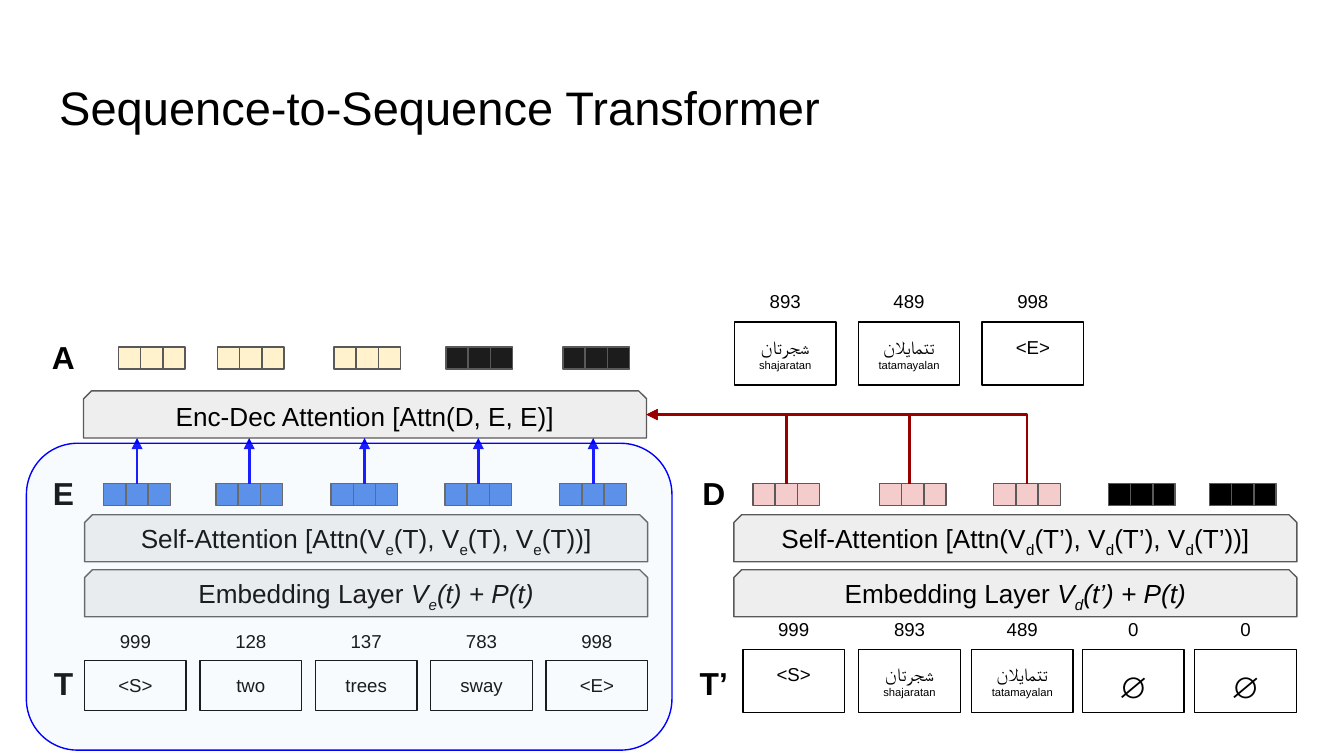
from dataclasses import dataclass

from lxml import etree
from pptx import Presentation
from pptx.dml.color import RGBColor
from pptx.enum.shapes import MSO_CONNECTOR, MSO_SHAPE
from pptx.enum.text import MSO_ANCHOR, PP_ALIGN
from pptx.oxml.ns import qn
from pptx.util import Cm, Pt

RECT, SNIPPED, ROUNDED = MSO_SHAPE.RECTANGLE, MSO_SHAPE.SNIP_2_SAME_RECTANGLE, MSO_SHAPE.ROUNDED_RECTANGLE
STRAIGHT, ELBOW = MSO_CONNECTOR.STRAIGHT, MSO_CONNECTOR.ELBOW
LEFT, CENTER = PP_ALIGN.LEFT, PP_ALIGN.CENTER
TOP, MIDDLE = MSO_ANCHOR.TOP, MSO_ANCHOR.MIDDLE

BLACK, GREY, PALE_GREY, BLUE, RED = "000000", "595959", "EEEEEE", "0000FF", "980000"
FONT = "Arial"
INSET = 0.25
CELL = 0.42
TOKEN_W, NUMBER_H = 1.92, 0.95
BAR_W, BAR_H = 10.64, 0.89
ENCODER_X, DECODER_X = 1.6, 13.87
VECTOR_Y, ATTENTION_Y = 9.14, 7.39


@dataclass(frozen=True)
class Span:
    text: str
    size: float = 10
    bold: bool = False
    italic: bool = False
    subscript: bool = False


@dataclass(frozen=True)
class Token:
    number: str
    word: str
    gloss: str = ""


@dataclass(frozen=True)
class VectorRow:
    label: str
    label_x: float
    label_y: float
    y: float
    vectors: tuple[tuple[float, str], ...]


@dataclass(frozen=True)
class TokenRow:
    tokens: tuple[Token, ...]
    lefts: tuple[float, ...]
    number_y: float
    box_y: float
    box_h: float


def color(code: str) -> RGBColor:
    return RGBColor.from_string(code)


def write(shape, paragraphs: list[list[Span]], align=CENTER, anchor=TOP) -> None:
    frame = shape.text_frame
    frame.word_wrap = True
    frame.vertical_anchor = anchor
    frame.margin_left = frame.margin_right = frame.margin_top = frame.margin_bottom = Cm(INSET)
    for index, spans in enumerate(paragraphs):
        paragraph = frame.paragraphs[0] if index == 0 else frame.add_paragraph()
        paragraph.alignment = align
        for span in spans:
            run = paragraph.add_run()
            run.text = span.text
            font = run.font
            font.name, font.size = FONT, Pt(span.size)
            font.bold, font.italic = span.bold, span.italic
            font.color.rgb = color(BLACK)
            properties = run._r.get_or_add_rPr()
            etree.SubElement(properties, qn("a:cs")).set("typeface", FONT)
            if span.subscript:
                properties.set("baseline", "-25000")


def add_text(x: float, y: float, w: float, h: float, span: Span, align=CENTER) -> None:
    write(slide.shapes.add_textbox(Cm(x), Cm(y), Cm(w), Cm(h)), [[span]], align)


def add_box(kind, x: float, y: float, w: float, h: float, fill: str | None, line: str):
    box = slide.shapes.add_shape(kind, Cm(x), Cm(y), Cm(w), Cm(h))
    box.shadow.inherit = False
    if fill:
        box.fill.solid()
        box.fill.fore_color.rgb = color(fill)
    else:
        box.fill.background()
    box.line.color.rgb = color(line)
    box.line.width = Pt(0.75)
    return box


def add_layer(x: float, y: float, spans: list[Span]) -> None:
    layer = add_box(SNIPPED, x, y, BAR_W, BAR_H, PALE_GREY, GREY)
    write(layer, [spans], anchor=MIDDLE)


def add_stack(x: float, sub: str, mark: str) -> None:
    """Embedding layer with the self-attention layer above it."""
    add_layer(x, 10.77, [Span("Embedding Layer ", 14), Span("V", 14, italic=True),
                         Span(sub, 14, italic=True, subscript=True),
                         Span(f"(t{mark}) + P(t)", 14, italic=True)])
    attention = [Span("Self-Attention [Attn(V", 14)]
    for ending in (f"(T{mark}), V", f"(T{mark}), V", f"(T{mark}))]"):
        attention += [Span(sub, 14, subscript=True), Span(ending, 14)]
    add_layer(x, 9.73, attention)


def add_row_label(text: str, x: float, y: float) -> None:
    add_text(x, y, TOKEN_W, 1.24, Span(text, 17, bold=True))


def add_vector_row(row: VectorRow) -> list:
    """Draw three cells per vector and return the middle ones."""
    middles = []
    for x, fill in row.vectors:
        cells = [add_box(RECT, x + i * CELL, row.y, CELL, CELL, fill, GREY) for i in range(3)]
        middles.append(cells[1])
    add_row_label(row.label, row.label_x, row.label_y)
    return middles


def add_token_row(row: TokenRow) -> None:
    for x, token in zip(row.lefts, row.tokens):
        add_text(x, row.number_y, TOKEN_W, NUMBER_H, Span(token.number))
        box = add_box(RECT, x, row.box_y, TOKEN_W, row.box_h, None, BLACK)
        paragraphs = [[Span(token.word, 16 if token.word == "∅" else 10)]]
        if token.gloss:
            paragraphs.append([Span(token.gloss, 6)])
        write(box, paragraphs)
        if token.word == "∅":
            box.text_frame.paragraphs[0].line_spacing = 1.15


def style_arrow(arrow, line: str) -> None:
    arrow.line.color.rgb = color(line)
    arrow.line.width = Pt(1.5)
    etree.SubElement(arrow.line._get_or_add_ln(), qn("a:tailEnd")).set("type", "triangle")
    etree.SubElement(arrow._element.spPr, qn("a:effectLst"))


def add_up_arrow(cell, end_y: float) -> None:
    x = cell.left + cell.width // 2
    arrow = slide.shapes.add_connector(STRAIGHT, x, cell.top, x, Cm(end_y))
    arrow.begin_connect(cell, 0)
    style_arrow(arrow, BLUE)


def add_up_left_arrow(x: float, y: float, end_x: float, end_y: float) -> None:
    """One-bend arrow, laid out on its side and then turned by 90 degrees."""
    mid_x, mid_y = (x + end_x) / 2, (y + end_y) / 2
    half_rise, half_run = (y - end_y) / 2, (x - end_x) / 2
    arrow = slide.shapes.add_connector(ELBOW, Cm(mid_x + half_rise), Cm(mid_y - half_run),
                                       Cm(mid_x - half_rise), Cm(mid_y + half_run))
    properties = arrow._element.spPr
    properties.find(qn("a:xfrm")).set("rot", "5400000")
    properties.find(qn("a:prstGeom")).set("prst", "bentConnector2")
    style_arrow(arrow, RED)


TREES = ("شجرتان", "shajaratan")
SWAY = ("تتمايلان", "tatamayalan")
SOURCE_TOKENS = TokenRow(
    (Token("999", "<S>"), Token("128", "two"), Token("137", "trees"),
     Token("783", "sway"), Token("998", "<E>")),
    tuple(ENCODER_X + 2.18 * i for i in range(5)), 11.69, 12.48, 0.95)
TARGET_TOKENS = TokenRow(
    (Token("999", "<S>"), Token("893", *TREES), Token("489", *SWAY),
     Token("0", "∅"), Token("0", "∅")),
    (14.04, 16.23, 18.36, 20.46, 22.58), 11.46, 12.28, 1.19)
OUTPUT_TOKENS = TokenRow(
    (Token("893", *TREES), Token("489", *SWAY), Token("998", "<E>")),
    tuple(13.88 + 2.34 * i for i in range(3)), 5.26, 6.09, 1.19)

CORNFLOWER, PINK, CREAM, CHARCOAL = "4A86E8", "F4CCCC", "FFF2CC", "1D1C1D"
ENCODED = VectorRow("E", 0.24, 8.71, VECTOR_Y, tuple(
    (x, CORNFLOWER) for x in (1.96, 4.08, 6.26, 8.41, 10.58)))
DECODED = VectorRow("D", 12.53, 8.71, VECTOR_Y, (
    (14.23, PINK), (16.62, PINK), (18.78, PINK), (20.95, BLACK), (22.86, BLACK)))
ATTENDED = VectorRow("A", 0.24, 6.14, 6.56, (
    (2.24, CREAM), (4.11, CREAM), (6.31, CREAM), (8.43, CHARCOAL), (10.64, CHARCOAL)))

prs = Presentation()
prs.slide_width, prs.slide_height = Cm(25.4), Cm(14.29)
slide = prs.slides.add_slide(prs.slide_layouts[6])

add_text(0.87, 1.24, 23.67, 1.6, Span("Sequence-to-Sequence Transformer", 25.2), LEFT)
add_stack(ENCODER_X, "e", "")
add_stack(DECODER_X, "d", "’")
add_layer(1.58, ATTENTION_Y, [Span("Enc-Dec Attention [Attn(D, E, E)]", 14)])

for middle_cell in add_vector_row(ENCODED):
    add_up_arrow(middle_cell, ATTENTION_Y + BAR_H)
add_vector_row(DECODED)
add_vector_row(ATTENDED)
for start_x in (14.86, 17.19, 19.41):
    add_up_left_arrow(start_x, VECTOR_Y, 1.58 + BAR_W, ATTENTION_Y + BAR_H / 2)

add_row_label("T", 0.24, 12.29)
add_row_label("T’", 12.53, 12.29)
for token_row in (SOURCE_TOKENS, TARGET_TOKENS, OUTPUT_TOKENS):
    add_token_row(token_row)

encoder_frame = add_box(ROUNDED, 0.5, 8.38, 12.2, 5.8, "CFE2F3", BLUE)
fill_color = encoder_frame._element.spPr.find(qn("a:solidFill"))[0]
etree.SubElement(fill_color, qn("a:alpha")).set("val", "13000")

prs.save("out.pptx")
